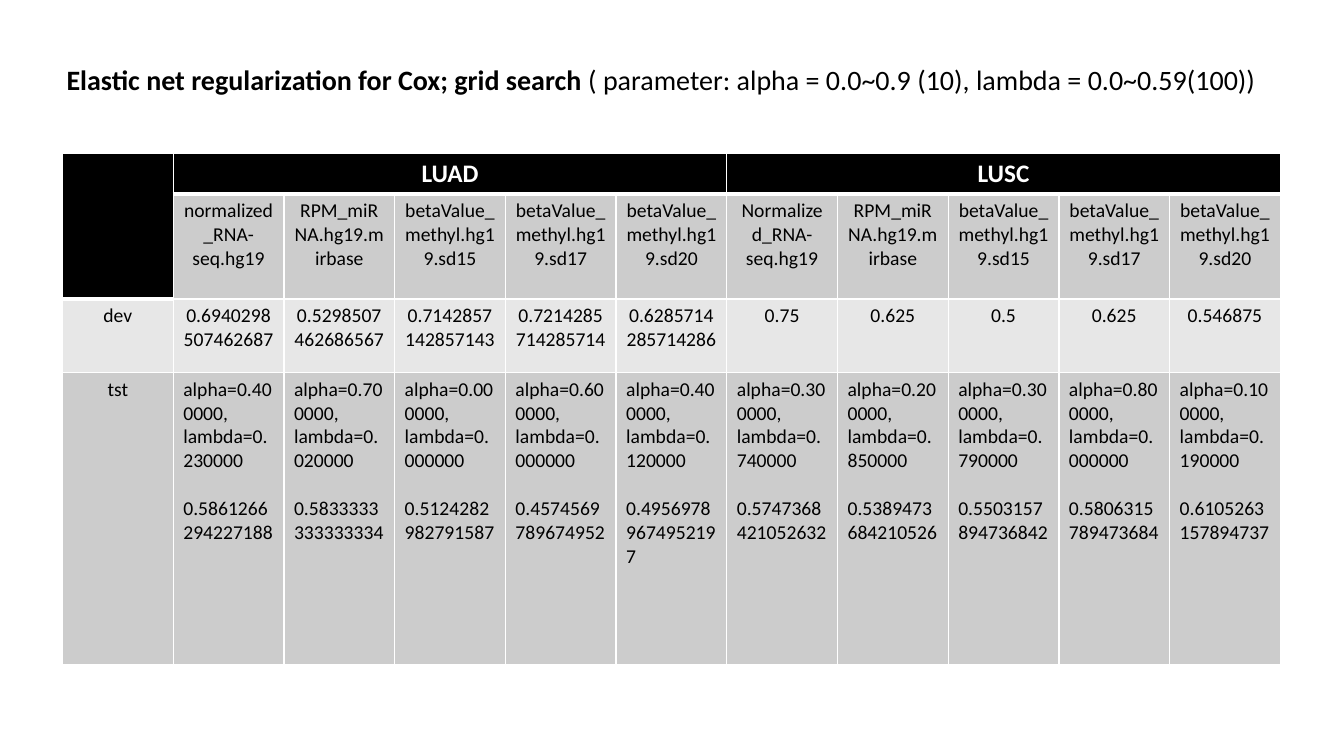
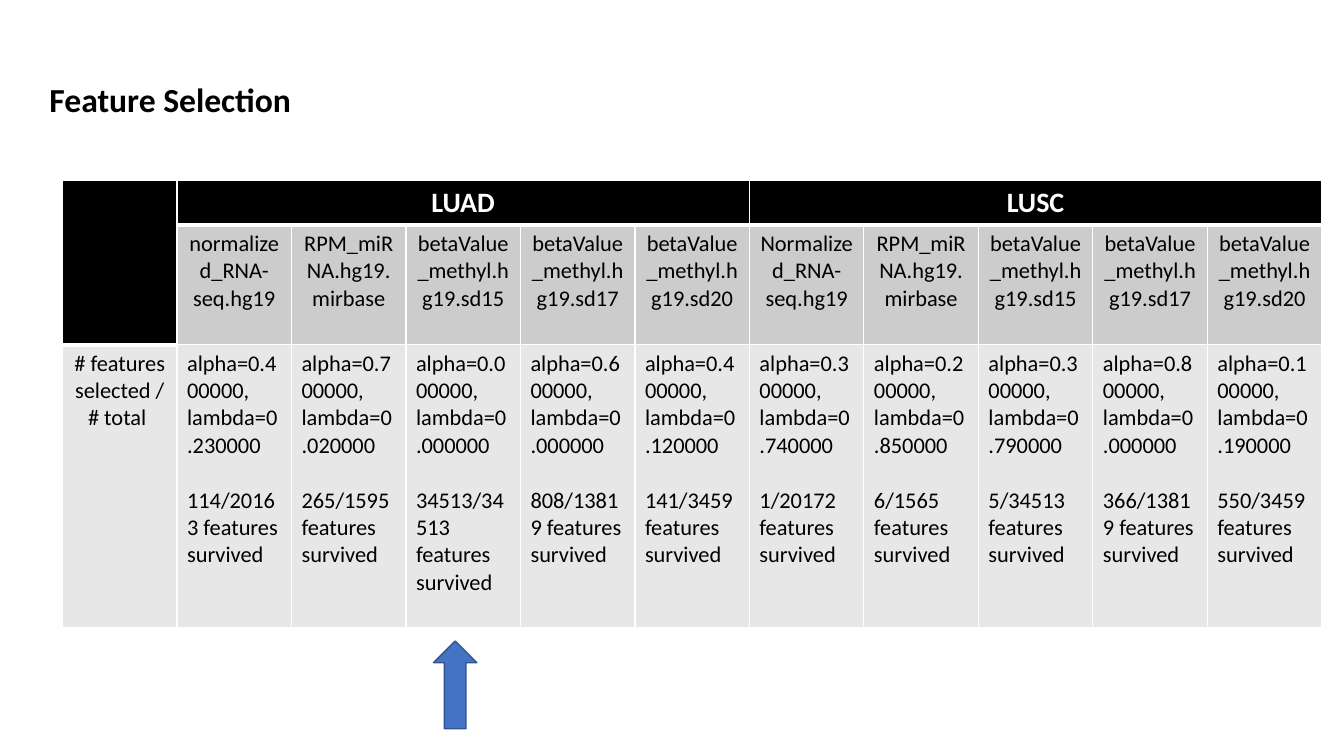
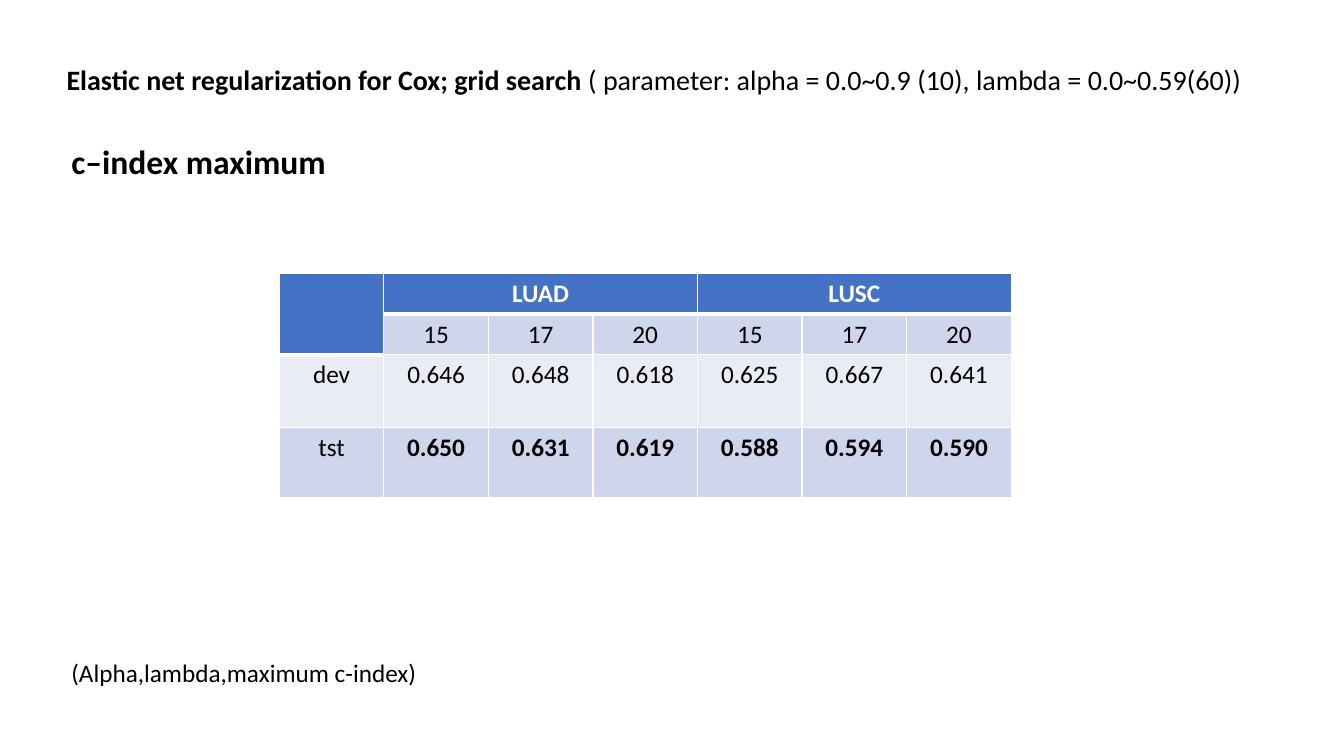
from lxml.etree import SubElement
from pptx import Presentation
from pptx.dml.color import RGBColor
from pptx.enum.shapes import MSO_SHAPE
from pptx.enum.text import MSO_ANCHOR, MSO_AUTO_SIZE, PP_ALIGN
from pptx.oxml.ns import qn
from pptx.util import Inches, Pt

FONT = "Calibri"
COLORS = {"black": "000000", "white": "FFFFFF", "blue": "4472C4", "outline": "325491"}
GRAY = {"head": "000000", "bands": ("CCCCCC", "E7E7E7")}
BLUE = {"head": "4472C4", "bands": ("CFD5EA", "E9EBF5")}

GROUPS = ("LUAD", "LUSC")
SHARED_SETS = ["RPM_miRNA.hg19.mirbase"] + [f"betaValue_methyl.hg19.sd{n}" for n in (15, 17, 20)]
DATASETS = ["normalized_RNA-seq.hg19", *SHARED_SETS, "Normalized_RNA-seq.hg19", *SHARED_SETS]
PARAMS = [(0.4, 0.23), (0.7, 0.02), (0, 0), (0.6, 0), (0.4, 0.12),
          (0.3, 0.74), (0.2, 0.85), (0.3, 0.79), (0.8, 0), (0.1, 0.19)]
DEV = ["0.6940298507462687", "0.5298507462686567", "0.7142857142857143",
       "0.7214285714285714", "0.6285714285714286", "0.75", "0.625", "0.5", "0.625", "0.546875"]
TST = ["0.5861266294227188", "0.5833333333333334", "0.5124282982791587",
       "0.4574569789674952", "0.49569789674952197", "0.5747368421052632",
       "0.5389473684210526", "0.5503157894736842", "0.5806315789473684", "0.6105263157894737"]
SELECTED = ["114/20163", "265/1595", "34513/34513", "808/13819", "141/3459",
            "1/20172", "6/1565", "5/34513", "366/13819", "550/3459"]
SEARCH_LEAD = "Elastic net regularization for Cox; grid search"
SEARCH_TEXT = " ( parameter: alpha = 0.0~0.9 (10), lambda = 0.0~0.59({}))"
SEARCH_BOX = (0.56, 0.57, 12.1, 0.45)
MAX_ROWS = [["", *["15", "17", "20"] * 2],
            ["dev", "0.646", "0.648", "0.618", "0.625", "0.667", "0.641"],
            ["tst", "0.650", "0.631", "0.619", "0.588", "0.594", "0.590"]]


def with_params(values):
    """Put each column's alpha and lambda above its value."""
    return [f"alpha={a:.6f}, lambda={b:.6f}\n{v}" for (a, b), v in zip(PARAMS, values)]


def write(tf, text, size=18, color="black", bold=False, align=PP_ALIGN.LEFT, lead="", gap=0):
    """Fill a text frame, one paragraph per line, after an optional bold lead."""
    for i, line in enumerate(text.split("\n")):
        p = tf.add_paragraph() if i else tf.paragraphs[0]
        p.alignment = align
        p.space_before = Pt(gap if i else 0)
        for part, strong in ((lead if i == 0 else "", True), (line, bold)):
            if part:
                r = p.add_run()
                r.text = part
                r.font.name, r.font.size, r.font.bold = FONT, Pt(size), strong
                r.font.color.rgb = RGBColor.from_string(COLORS[color])


def add_slide(prs, title, box, anchor=MSO_ANCHOR.TOP, **fmt):
    """Add a title-only slide with its title placed and formatted."""
    s = prs.slides.add_slide(prs.slide_layouts[5])
    sp = s.shapes.title
    sp.left, sp.top, sp.width, sp.height = map(Inches, box)
    tf = sp.text_frame
    tf.auto_size, tf.word_wrap, tf.vertical_anchor = MSO_AUTO_SIZE.NONE, True, anchor
    write(tf, title, **fmt)
    return s


def add_label(s, text, box, **fmt):
    """Add a text box."""
    tf = s.shapes.add_textbox(*map(Inches, box)).text_frame
    tf.word_wrap = True
    write(tf, text, **fmt)


def style_cell(cell, fill, top, bottom):
    """Give a cell white borders and a solid fill."""
    tc_pr = cell._tc.get_or_add_tcPr()
    for side, width in (("L", 1), ("R", 1), ("T", top), ("B", bottom)):
        ln = SubElement(tc_pr, qn(f"a:ln{side}"), w=str(Pt(width)))
        SubElement(SubElement(ln, qn("a:solidFill")), qn("a:srgbClr"), val=COLORS["white"])
    cell.fill.solid()
    cell.fill.fore_color.rgb = RGBColor.from_string(fill)


def add_grid(s, body, left, top, width, heights, theme, head_size, size, bold_row=None):
    """Add a table with a group header over equal columns and banded rows."""
    n = len(body[0])
    span = (n - 1) // len(GROUPS)
    head = [""] * n
    head[1::span] = GROUPS
    table = s.shapes.add_table(len(heights), n, Inches(left), Inches(top),
                               Inches(width), Inches(sum(heights))).table
    table.first_row = table.horz_banding = False
    for col in table.columns:
        col.width = Inches(width / n)
    for row, height in zip(table.rows, heights):
        row.height = Inches(height)
    for i, values in enumerate([head, *body]):
        for j, text in enumerate(values):
            is_head = i == 0 or (i, j) == (1, 0)
            below_head = i == 1 or (i, j) == (2, 0)
            cell = table.cell(i, j)
            style_cell(cell, theme["head"] if is_head else theme["bands"][(i - 1) % 2],
                       3 if below_head else 1, 3 if is_head else 1)
            write(cell.text_frame, text, size=head_size if is_head else size,
                  color="white" if is_head else "black",
                  bold=is_head or (i == bold_row and j > 0),
                  align=PP_ALIGN.LEFT if "\n" in text else PP_ALIGN.CENTER,
                  gap=round(size * 1.22, 1))
    table.cell(0, 0).merge(table.cell(1, 0))
    for j in range(1, n, span):
        table.cell(0, j).merge(table.cell(0, j + span - 1))


def main():
    """Build the three slides."""
    prs = Presentation()
    prs.slide_width, prs.slide_height = Inches(13.33), Inches(7.5)

    s = add_slide(prs, SEARCH_TEXT.format(100), SEARCH_BOX, lead=SEARCH_LEAD, size=20)
    add_grid(s, [["", *DATASETS], ["dev", *DEV], ["tst", *with_params(TST)]],
             0.62, 1.52, 12.08, (0.4, 1.04, 0.73, 2.9), GRAY, 18, 14)

    s = add_slide(prs, "Feature Selection", (0.39, 0.15, 11.5, 1.08),
                  MSO_ANCHOR.BOTTOM, size=24, bold=True)
    survived = with_params(f"{v} features survived" for v in SELECTED)
    add_grid(s, [["", *DATASETS], ["# features selected /# total ", *survived]],
             0.62, 1.79, 12.49, (0.43, 1.19, 2.81), GRAY, 20, 16)
    arrow = s.shapes.add_shape(MSO_SHAPE.UP_ARROW, *map(Inches, (4.3, 6.36, 0.43, 0.87)))
    arrow.shadow.inherit = False
    arrow.fill.solid()
    arrow.fill.fore_color.rgb = RGBColor.from_string(COLORS["blue"])
    arrow.line.color.rgb = RGBColor.from_string(COLORS["outline"])
    arrow.line.width = Pt(1)

    s = add_slide(prs, SEARCH_TEXT.format(60), SEARCH_BOX, lead=SEARCH_LEAD, size=20)
    add_grid(s, MAX_ROWS, 2.77, 2.71, 7.26, (0.4, 0.4, 0.72, 0.7), BLUE, 18, 18, bold_row=3)
    add_label(s, "(Alpha,lambda,maximum c-index)", (0.61, 6.47, 3.8, 0.4))
    add_label(s, "c–index maximum", (0.61, 1.35, 3, 0.5), size=24, bold=True)

    prs.save("out.pptx")


if __name__ == "__main__":
    main()
